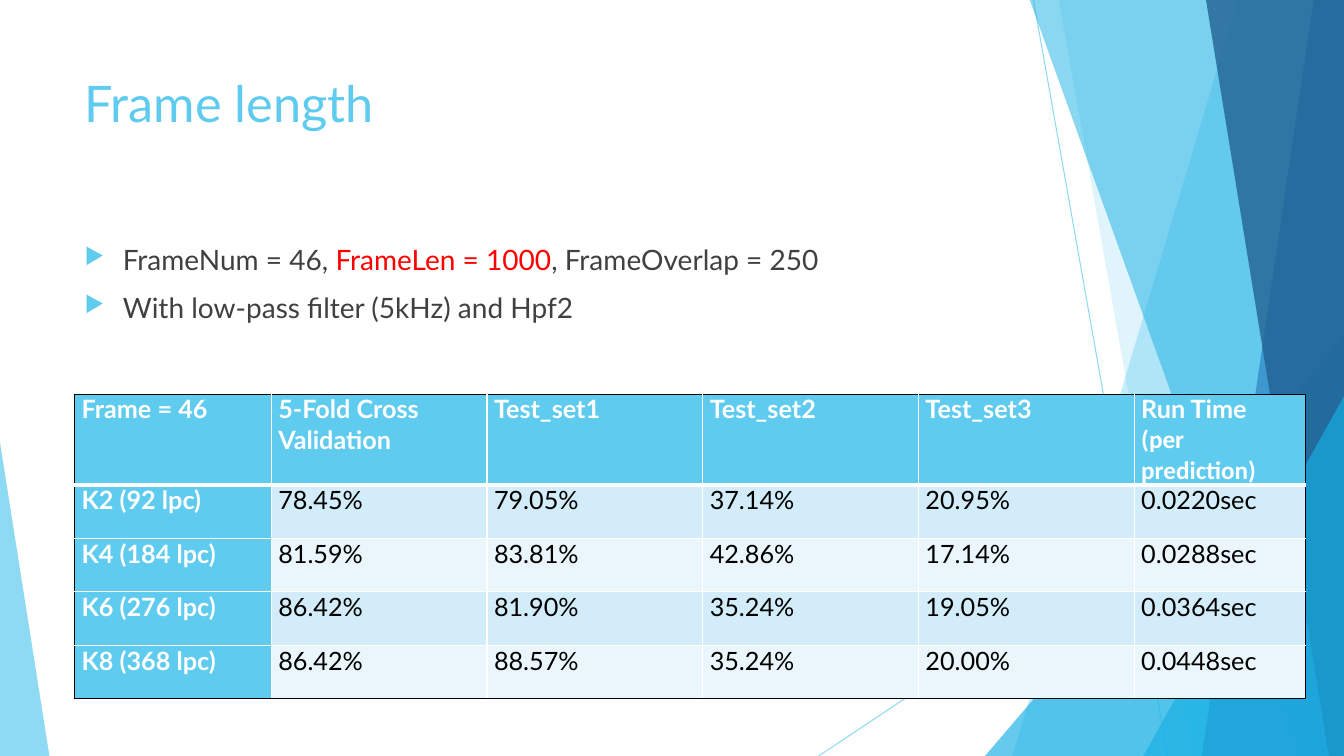
import dataclasses
import typing

import pptx
import pptx.dml.color
import pptx.enum.shapes
import pptx.enum.text
import pptx.oxml
import pptx.oxml.ns
import pptx.util

Inches = pptx.util.Inches
Pt = pptx.util.Pt
RGB = pptx.dml.color.RGBColor.from_string


@dataclasses.dataclass(frozen=True)
class Theme:
    sky: str = "5FCBEF"
    azure: str = "17B0E4"
    blue: str = "2E83C3"
    navy: str = "226292"
    body: str = "404040"
    highlight: str = "FF0000"
    white: str = "FFFFFF"
    black: str = "000000"
    bands: tuple[str, str] = ("D2ECF9", "EAF6FC")
    font: str = "Lato"
    note_font: str = "Calibri"
    title_size: int = 36
    body_size: int = 20
    table_size: int = 18


THEME = Theme()
WIDTH, HEIGHT = 13.33, 7.5


class Ray(typing.NamedTuple):
    start: tuple[float, float]
    end: tuple[float, float]


class Shard(typing.NamedTuple):
    """A band running to the right edge from a slanted left side."""
    top_x: float
    bottom_x: float
    color: str
    alpha: int


class Wedge(typing.NamedTuple):
    left: float
    top: float
    width: float
    height: float
    apex: float
    color: str
    alpha: int


class Run(typing.NamedTuple):
    text: str
    color: str
    size: int
    font: str = THEME.font
    bold: bool = False


RAYS = [Ray((10.25, 0), (11.58, HEIGHT)), Ray((WIDTH, 4.03), (8.12, HEIGHT))]
FACETS = [
    Shard(12.28, 10.04, THEME.sky, 36),
    Shard(10.5, 11.83, THEME.sky, 20),
    Wedge(9.77, 3.33, 3.56, 4.17, 1, THEME.azure, 66),
    Shard(10.21, 12.91, THEME.azure, 50),
    Shard(13.03, 11.92, THEME.blue, 70),
    Shard(11.96, 13.18, THEME.navy, 80),
    Wedge(11.34, 3.93, 1.99, 3.57, 1, THEME.azure, 66),
    Wedge(0, 4.39, 0.49, 3.11, 0, THEME.sky, 70),
]
SETTINGS = [
    [Run("FrameNum = 46, ", THEME.body, THEME.body_size),
     Run("FrameLen = 1000", THEME.highlight, THEME.body_size),
     Run(", FrameOverlap = 250", THEME.body, THEME.body_size)],
    [Run("With low-pass filter (5kHz) and Hpf2", THEME.body, THEME.body_size)],
]
RESULTS = [
    ["Frame = 46", "5-Fold Cross Validation", "Test_set1", "Test_set2", "Test_set3",
     "Run Time\n(per prediction)"],
    ["K2 (92 lpc)", "78.45%", "79.05%", "37.14%", "20.95%", "0.0220sec"],
    ["K4 (184 lpc)", "81.59%", "83.81%", "42.86%", "17.14%", "0.0288sec"],
    ["K6 (276 lpc)", "86.42%", "81.90%", "35.24%", "19.05%", "0.0364sec"],
    ["K8 (368 lpc)", "86.42%", "88.57%", "35.24%", "20.00%", "0.0448sec"],
]
COLUMN_WIDTHS = [1.95, 2.14, 2.14, 2.14, 2.14, 1.7]
ROW_HEIGHTS = [0.59, 0.53, 0.53, 0.53, 0.53]


def apply_format(target: typing.Any, values: dict[str, typing.Any]) -> None:
    for name, value in values.items():
        setattr(target, name, value)


def append_xml(parent: typing.Any, tag: str, attributes: str = "", content: str = "") -> None:
    namespace = pptx.oxml.ns.nsdecls("a")
    parent.append(pptx.oxml.parse_xml(f"<a:{tag} {namespace} {attributes}>{content}</a:{tag}>"))


def set_translucent(fill: typing.Any, color: str, alpha: int) -> None:
    fill.solid()
    fill.fore_color.rgb = RGB(color)
    append_xml(fill.fore_color._xFill.find(pptx.oxml.ns.qn("a:srgbClr")),
               "alpha", f'val="{alpha * 1000}"')


def draw_ray(slide: typing.Any, ray: Ray) -> None:
    connector = slide.shapes.add_connector(
        pptx.enum.shapes.MSO_CONNECTOR.STRAIGHT,
        *(Inches(value) for value in (*ray.start, *ray.end)))
    connector.line.width = Pt(0.75)
    set_translucent(connector.line.fill, THEME.sky, 70)
    append_xml(connector._element.spPr, "effectLst")


def draw_facet(slide: typing.Any, facet: Shard | Wedge) -> None:
    if isinstance(facet, Shard):
        top = Inches(-0.01)
        builder = slide.shapes.build_freeform(Inches(facet.top_x), top)
        builder.add_line_segments([
            (Inches(WIDTH), top), (Inches(WIDTH), Inches(HEIGHT)),
            (Inches(facet.bottom_x), Inches(HEIGHT))])
        outline = builder.convert_to_shape()
    else:
        outline = slide.shapes.add_shape(
            pptx.enum.shapes.MSO_SHAPE.ISOSCELES_TRIANGLE,
            *(Inches(value) for value in facet[:4]))
        outline.adjustments[0] = facet.apex
    outline.shadow.inherit = False
    outline.line.fill.background()
    set_translucent(outline.fill, facet.color, facet.alpha)


def write_runs(paragraph: typing.Any, runs: list[Run]) -> None:
    for item in runs:
        run = paragraph.add_run()
        run.text = item.text
        apply_format(run.font, {"name": item.font, "size": Pt(item.size), "bold": item.bold})
        run.font.color.rgb = RGB(item.color)


def draw_text(slide: typing.Any, top: float, height: float,
              paragraphs: list[list[Run]], bulleted: bool = False) -> None:
    frame = slide.shapes.add_textbox(
        Inches(0.74), Inches(top), Inches(9.4), Inches(height)).text_frame
    apply_format(frame, {"word_wrap": True,
                         "vertical_anchor": pptx.enum.text.MSO_ANCHOR.TOP})
    for index, runs in enumerate(paragraphs):
        paragraph = frame.add_paragraph() if index else frame.paragraphs[0]
        write_runs(paragraph, runs)
        if bulleted:
            paragraph.space_before = Pt(10)
            properties = paragraph._p.get_or_add_pPr()
            properties.set("marL", str(Inches(0.38)))
            properties.set("indent", str(Inches(-0.38)))
            append_xml(properties, "buClr", content=f'<a:srgbClr val="{THEME.sky}"/>')
            append_xml(properties, "buSzPct", 'val="80000"')
            append_xml(properties, "buChar", 'char="▶"')


def draw_results(slide: typing.Any) -> None:
    last_row, last_column = len(RESULTS) - 1, len(COLUMN_WIDTHS) - 1
    table = slide.shapes.add_table(
        len(RESULTS), len(COLUMN_WIDTHS), Inches(0.74), Inches(3.91),
        Inches(sum(COLUMN_WIDTHS)), Inches(sum(ROW_HEIGHTS))).table
    for column, width in zip(table.columns, COLUMN_WIDTHS):
        column.width = Inches(width)
    for row, height in zip(table.rows, ROW_HEIGHTS):
        row.height = Inches(height)
    for r, values in enumerate(RESULTS):
        for c, value in enumerate(values):
            cell = table.cell(r, c)
            heading = r == 0 or c == 0
            apply_format(cell, {"margin_left": Inches(0.07), "margin_right": Inches(0.07),
                                "margin_top": 0, "margin_bottom": 0})
            outer_edges = {"lnL": c == 0, "lnR": c == last_column,
                           "lnT": r == 0, "lnB": r == last_row}
            for edge, is_outer in outer_edges.items():
                weight = 3 if r == 0 and edge == "lnB" else 1
                color = THEME.black if is_outer else THEME.white
                append_xml(cell._tc.get_or_add_tcPr(), edge, f'w="{Pt(weight)}"',
                           f'<a:solidFill><a:srgbClr val="{color}"/></a:solidFill>')
            cell.fill.solid()
            cell.fill.fore_color.rgb = RGB(THEME.sky if heading else THEME.bands[(r - 1) % 2])
            for index, line in enumerate(value.split("\n")):
                frame = cell.text_frame
                paragraph = frame.add_paragraph() if index else frame.paragraphs[0]
                write_runs(paragraph, [Run(
                    line, THEME.white if heading else THEME.black, THEME.table_size,
                    THEME.note_font if index else THEME.font, heading)])


def main() -> None:
    deck = pptx.Presentation()
    apply_format(deck, {"slide_width": Inches(WIDTH), "slide_height": Inches(HEIGHT)})
    slide = deck.slides.add_slide(deck.slide_layouts[6])
    for ray in RAYS:
        draw_ray(slide, ray)
    for facet in FACETS:
        draw_facet(slide, facet)
    draw_text(slide, 0.67, 1.44, [[Run("Frame length", THEME.sky, THEME.title_size)]])
    draw_text(slide, 2.36, 4.24, SETTINGS, bulleted=True)
    draw_results(slide)
    deck.save("out.pptx")


if __name__ == "__main__":
    main()
